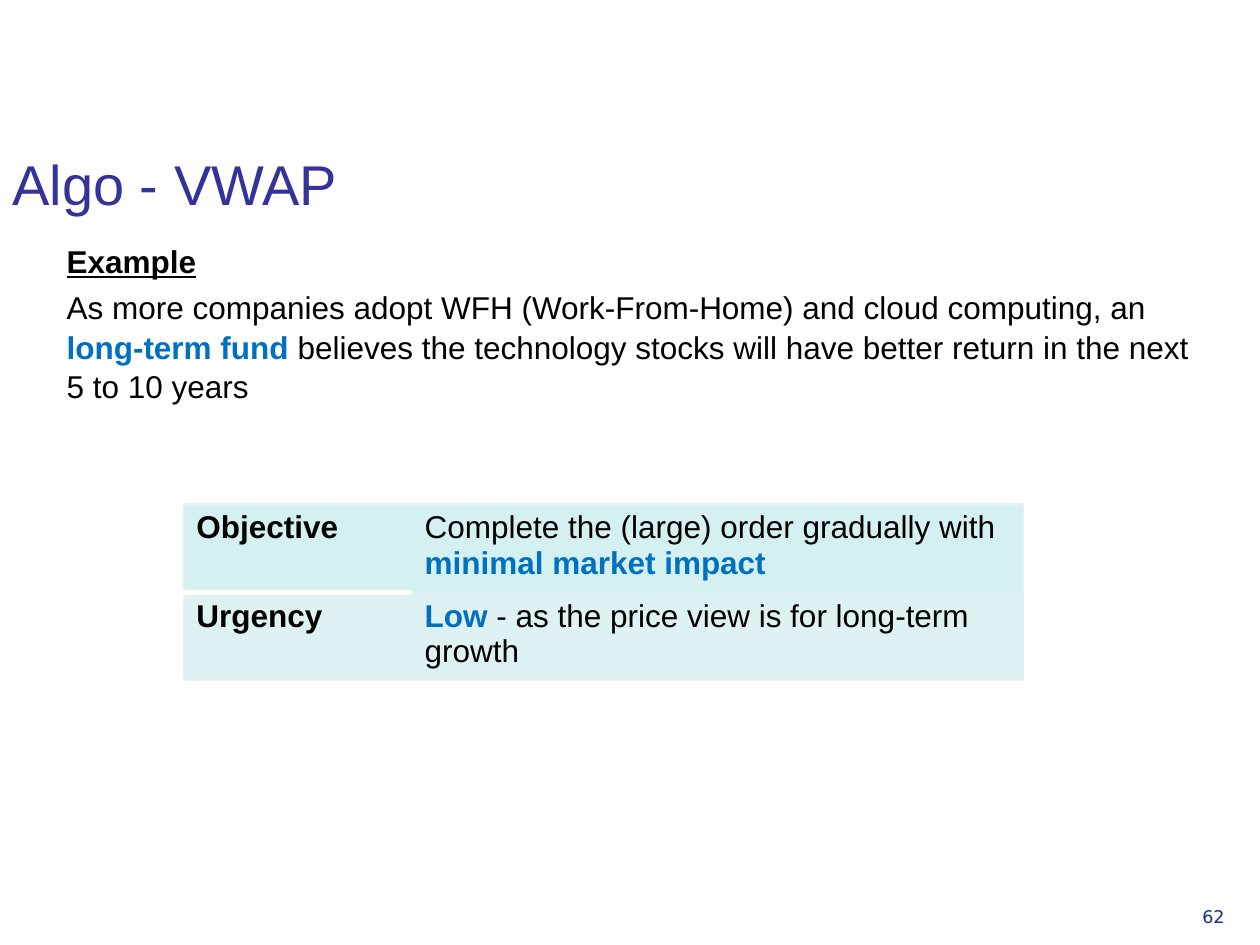
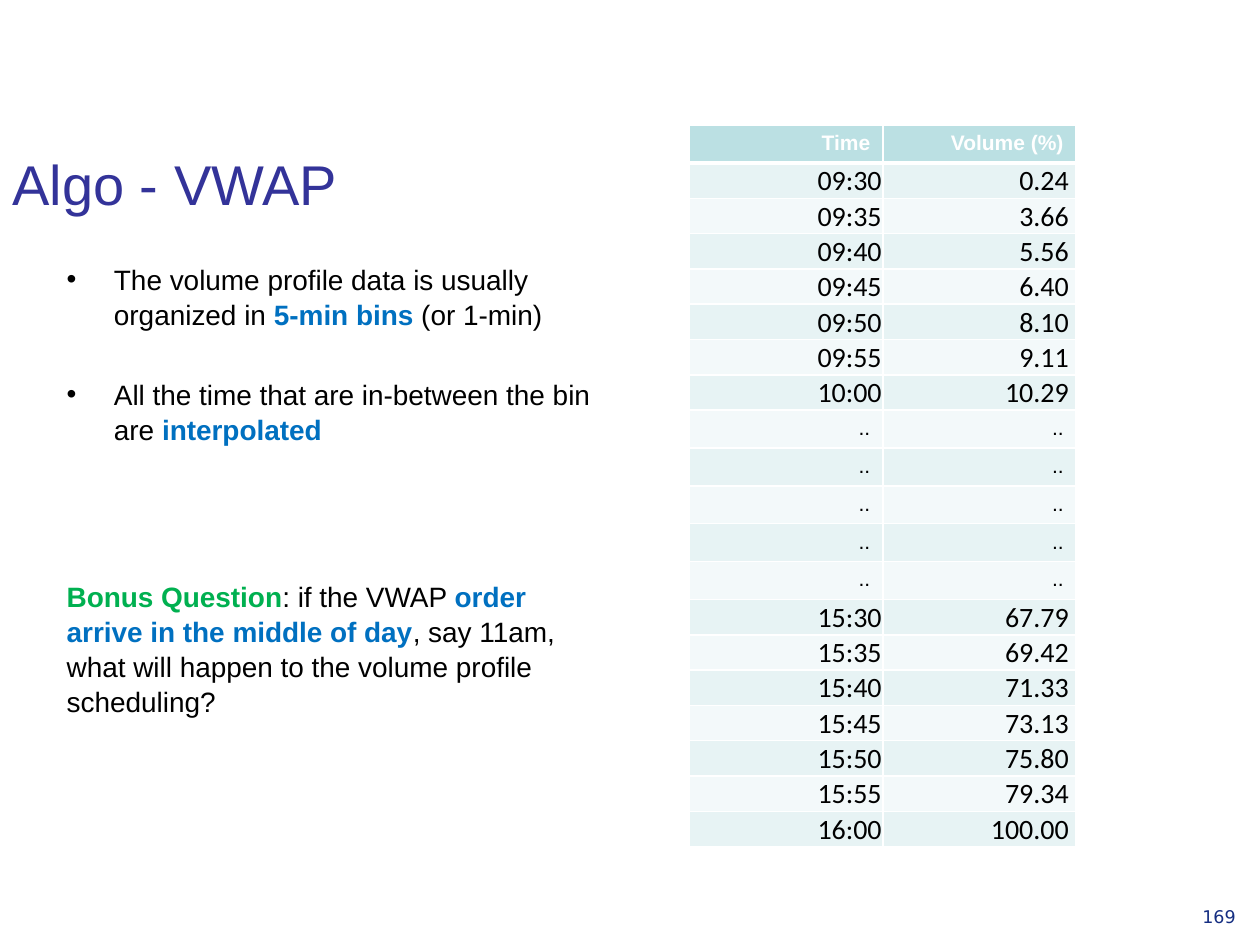
from dataclasses import dataclass

from lxml.etree import SubElement
from pptx import Presentation
from pptx.dml.color import RGBColor
from pptx.enum.text import MSO_ANCHOR as Anchor, PP_ALIGN as Align
from pptx.oxml.ns import qn
from pptx.util import Pt


@dataclass(frozen=True)
class Theme:
    font: str = "Arial"
    figure_font: str = "Calibri"
    number_font: str = "DejaVu Sans"
    title: str = "333399"
    text: str = "000000"
    accent: str = "0070C0"
    bonus: str = "00B050"
    page_number: str = "152E82"
    white: str = "FFFFFF"
    edge: str = "E8F1F2"
    header: str = "BBE0E3"
    bands: tuple = ("E7F3F4", "F3F9FA")
    goals: tuple = ("D5F0F0", "DEF1F3")
    title_size: int = 32
    large: int = 18
    body: int = 16
    small: int = 12
    tiny: int = 10
    body_spacing: float = 1.04


THEME = Theme()
SIDES = {"left": "a:lnL", "right": "a:lnR", "top": "a:lnT", "bottom": "a:lnB"}


class SlideWriter:
    def __init__(self, deck, theme):
        self.deck, self.theme = deck, theme
        self.page = None

    def new_page(self, title, number):
        theme = self.theme
        self.page = self.deck.slides.add_slide(self.deck.slide_layouts[6])
        self.text((680, 514, 40, 28), [[number]], theme.tiny, theme.page_number,
                  font=theme.number_font)
        self.text((0, 49, 636, 78.5), [[title]], theme.title_size, theme.title,
                  anchor=Anchor.BOTTOM)

    def fill_paragraph(self, para, spans, size, color, font=None, bold=None):
        """Write spans: plain strings, or (text, color, underline) for bold ones."""
        para.font.size = Pt(size)
        para.font.name = font or self.theme.font
        para.font.color.rgb = RGBColor.from_string(color)
        para.font.bold = bold
        for item in spans:
            span = para.add_run()
            if isinstance(item, str):
                span.text = item
                continue
            span.text, span_color, underline = item
            span.font.bold = True
            span.font.underline = underline
            span.font.color.rgb = RGBColor.from_string(span_color)

    def strong(self, text, color=None, underline=None):
        return text, color or self.theme.accent, underline

    def text(self, area, paragraphs, size, color=None, font=None,
             anchor=Anchor.TOP, gap=0, spacing=None, bullet=False):
        frame = self.page.shapes.add_textbox(*map(Pt, area)).text_frame
        frame.word_wrap = True
        frame.vertical_anchor = anchor
        for index, spans in enumerate(paragraphs):
            para = frame.add_paragraph() if index else frame.paragraphs[0]
            if index:
                para.space_before = Pt(gap)
            if spacing:
                para.line_spacing = spacing
            if bullet:
                self.add_bullet(para)
            self.fill_paragraph(para, spans, size, color or self.theme.text, font)

    def add_bullet(self, para):
        props = para._p.get_or_add_pPr()
        props.set("marL", str(Pt(27)))
        props.set("indent", str(-Pt(27)))
        SubElement(props, qn("a:buFont")).set("typeface", self.theme.font)
        SubElement(props, qn("a:buChar")).set("char", "•")

    def table(self, area, rows, columns):
        table = self.page.shapes.add_table(rows, columns, *map(Pt, area)).table
        table.first_row = table.horz_banding = False
        return table

    def cell(self, cell, spans, size, fill, edges, color=None, font=None,
             bold=None, align=Align.LEFT):
        """Edges map a side to (color, width); other sides have no line."""
        props = cell._tc.get_or_add_tcPr()
        for side, tag in SIDES.items():
            line = SubElement(props, qn(tag))
            if side in edges:
                edge_color, width = edges[side]
                line.set("w", str(Pt(width)))
                solid = SubElement(line, qn("a:solidFill"))
                SubElement(solid, qn("a:srgbClr")).set("val", edge_color)
            else:
                SubElement(line, qn("a:noFill"))
        cell.fill.solid()
        cell.fill.fore_color.rgb = RGBColor.from_string(fill)
        para = cell.text_frame.paragraphs[0]
        para.alignment = align
        self.fill_paragraph(para, spans, size, color or self.theme.text, font, bold)


def example_page(writer):
    theme, strong = writer.theme, writer.strong
    writer.new_page("Algo - VWAP", "62")
    writer.text((31, 134, 657.5, 345), [
        [strong("Example", theme.text, True)],
        ["As more companies adopt WFH (Work-From-Home) and cloud computing, an ",
         strong("long-term fund "),
         "believes the technology stocks will have better return in the next "
         "5 to 10 years"],
    ], theme.large, gap=4, spacing=theme.body_spacing)

    goals = [
        ("Objective", ["Complete the (large) order gradually with ",
                       strong("minimal market impact")]),
        ("Urgency", [strong("Low "), "- as the price view is for long-term growth"]),
    ]
    table = writer.table((105, 288, 480, 95.5), 2, 2)
    for column, width in zip(table.columns, (130.5, 349.5)):
        column.width = Pt(width)
    outer, divider = (theme.edge, 0.75), (theme.white, 3)
    for row, (goal, detail) in enumerate(goals):
        rim = {"bottom" if row else "top": outer}
        rule = {"top" if row else "bottom": divider}
        fill = theme.goals[row]
        writer.cell(table.cell(row, 0), [goal], theme.large, fill,
                    {**rim, **rule, "left": outer}, bold=True)
        writer.cell(table.cell(row, 1), detail, theme.large, fill,
                    {**rim, "right": outer})


def volume_profile_page(writer):
    theme, strong = writer.theme, writer.strong
    writer.new_page("Algo - VWAP", "169")
    writer.text((31, 145.5, 323, 249), [
        ["The volume profile data is usually organized in ",
         strong("5-min bins"), " (or 1-min)"],
        ["All the time that are in-between the bin are ", strong("interpolated")],
    ], theme.body, gap=26, spacing=theme.body_spacing, bullet=True)

    profile = [
        ("09:30", "0.24"), ("09:35", "3.66"), ("09:40", "5.56"), ("09:45", "6.40"),
        ("09:50", "8.10"), ("09:55", "9.11"), ("10:00", "10.29"),
        *[("..", "..")] * 5,
        ("15:30", "67.79"), ("15:35", "69.42"), ("15:40", "71.33"),
        ("15:45", "73.13"), ("15:50", "75.80"), ("15:55", "79.34"),
        ("16:00", "100.00"),
    ]
    rows = len(profile) + 1
    table = writer.table((394, 71.5, 221, 20.2 * rows), rows, 2)
    grid = {side: (theme.white, 1) for side in SIDES}
    for column, heading in enumerate(("Time", "Volume (%)")):
        writer.cell(table.cell(0, column), [heading], theme.small, theme.header,
                    {**grid, "bottom": (theme.white, 3)}, theme.white,
                    bold=True, align=Align.RIGHT)
    for row, record in enumerate(profile, start=1):
        edges = {**grid, "top": (theme.white, 3)} if row == 1 else grid
        for column, value in enumerate(record):
            cell = table.cell(row, column)
            size, font = theme.small, theme.font
            if value != "..":
                size, font = theme.body, theme.figure_font
                cell.vertical_anchor = Anchor.BOTTOM
                cell.margin_left = cell.margin_top = Pt(0.7)
                cell.margin_right = Pt(4.3 if column else 0.7)
                cell.margin_bottom = Pt(0)
            writer.cell(cell, [value], size, theme.bands[(row - 1) % 2], edges,
                        font=font, align=Align.RIGHT)

    writer.text((31, 327, 323, 85), [[
        strong("Bonus Question", theme.bonus), ": if the VWAP ",
        strong("order arrive in the middle of day"),
        ", say 11am, what will happen to the volume profile scheduling?",
    ]], theme.body, spacing=theme.body_spacing)


def main():
    deck = Presentation()
    deck.slide_width, deck.slide_height = Pt(720), Pt(540)
    writer = SlideWriter(deck, THEME)
    example_page(writer)
    volume_profile_page(writer)
    deck.save("out.pptx")


if __name__ == "__main__":
    main()
